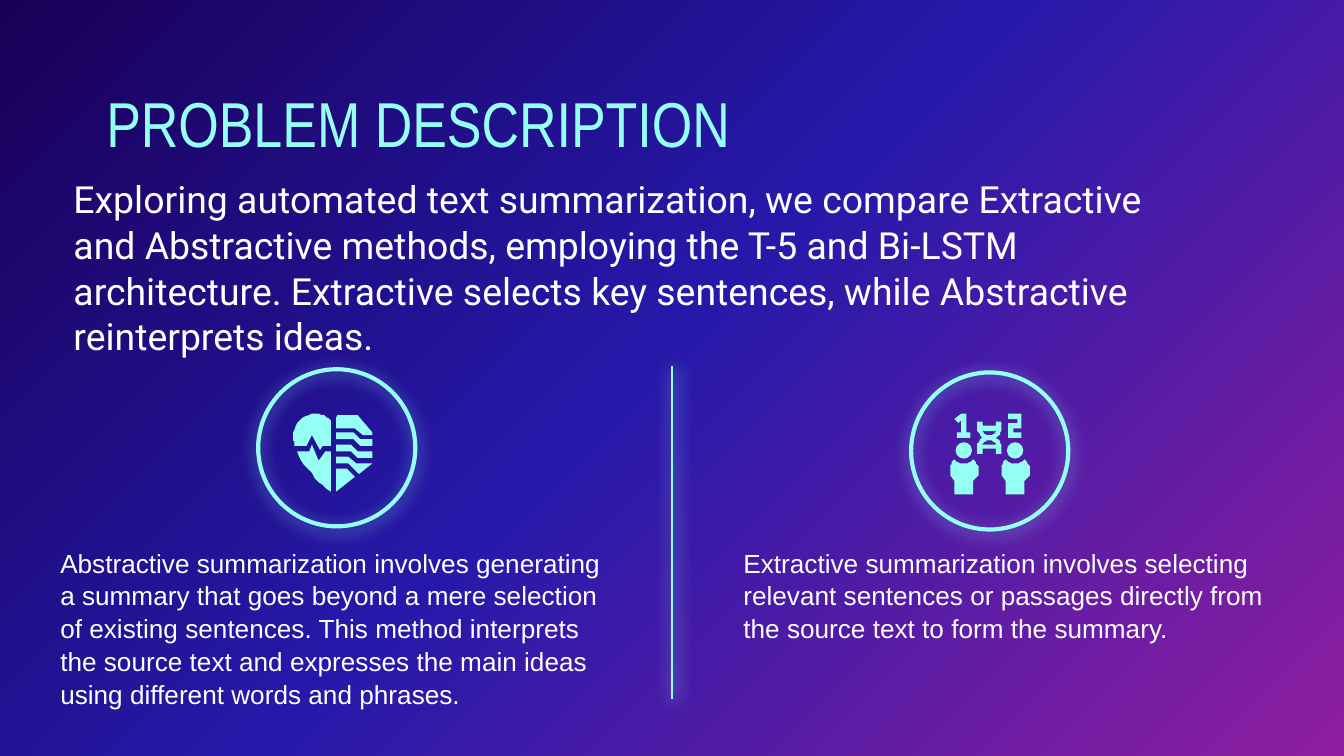
import copy
import lxml.etree
import pptx
import pptx.dml.color
import pptx.enum.shapes
import pptx.enum.text
import pptx.oxml.ns
import pptx.util

Cm = pptx.util.Cm
Pt = pptx.util.Pt
SHAPE = pptx.enum.shapes.MSO_SHAPE
ANCHOR = pptx.enum.text.MSO_ANCHOR
UNIT = 0.0254

HUES = {
    "night": "190057",
    "blue": "2619AA",
    "plum": "8F1EA0",
    "mint": "96FFF3",
    "halo": "98FAFC",
    "white": "FFFFFF",
}

TITLE = "PROBLEM DESCRIPTION"
INTRO = (
    "Exploring automated text summarization, we compare Extractive and "
    "Abstractive methods, employing the T-5 and Bi-LSTM architecture. "
    "Extractive selects key sentences, while Abstractive reinterprets ideas."
)
NOTES = [
    (1.14, "Abstractive summarization involves generating a summary that goes "
           "beyond a mere selection of existing sentences. This method interprets "
           "the source text and expresses the main ideas using different words "
           "and phrases."),
    (14.05, "Extractive summarization involves selecting relevant sentences or "
            "passages directly from the source text to form the summary."),
]
RINGS = [(4.88, 6.98), (17.22, 7.04)]

HEART = [
    [(32, 41), (32, 58), (46, 47), (40, 41)],
    [(32, 32), (32, 37), (41, 37), (49, 45), (59, 37), (47, 37), (41, 32)],
    [(33, 1), (32, 3), (32, 11), (46, 11), (52, 16), (59, 16), (59, 14), (48, 1)],
    [(17, 0), (8, 0, 0, 8, 0, 17), (0, 19, 1, 22, 1, 24), (10, 24), (14, 16),
     (20, 27), (22, 24), (28, 24), (28, 5), (25, 2, 21, 0, 17, 0)],
    [(14, 23), (12, 28), (3, 28), (7, 39, 19, 51, 28, 58), (28, 28), (24, 28),
     (19, 35)],
]
BANDS = [(14, 13, 18), (23, 11, 16)]
TWO = [(43, 0), (43, 4), (50, 4), (50, 7), (43, 7), (43, 18), (53, 18), (53, 14),
       (47, 14), (47, 11), (53, 11), (53, 0)]
ONE = [(8, 0), (3, 4), (6, 7), (8, 5), (8, 14), (5, 14), (5, 18), (15, 18),
       (15, 14), (12, 14), (12, 0)]
HELIX = [
    [(20, 6), (20, 11), (20, 13, 22, 16, 24, 18), (22, 19, 20, 22, 20, 25),
     (20, 30), (24, 30), (24, 26), (34, 26), (34, 30), (38, 30), (38, 25),
     (38, 22, 37, 20, 34, 18), (37, 16, 38, 14, 38, 11), (38, 6), (34, 6),
     (34, 9), (24, 9), (24, 6)],
    [(34, 13), (33, 15, 31, 16, 29, 16), (27, 16, 25, 15, 24, 13)],
    [(29, 20), (31, 20, 33, 21, 34, 23), (24, 23), (25, 21, 27, 20, 29, 20)],
]
BODY = [(3, 34), (1, 36, 0, 39, 0, 42), (0, 46), (3, 50), (3, 60), (17, 60),
        (17, 50), (21, 46), (21, 42), (21, 39, 19, 36, 17, 34),
        (15, 36, 13, 37, 10, 37), (8, 37, 5, 36, 3, 34)]


def trace(nodes, steps=10):
    out = [nodes[0]]
    for node in nodes[1:]:
        if len(node) == 2:
            out.append(node)
            continue
        ends = [out[-1], node[:2], node[2:4], node[4:]]
        for i in range(1, steps + 1):
            t = i / steps
            mix = ((1 - t) ** 3, 3 * t * (1 - t) ** 2, 3 * t * t * (1 - t), t ** 3)
            out.append(tuple(sum(m * e[k] for m, e in zip(mix, ends)) for k in (0, 1)))
    return out


class Deck:
    def __init__(self):
        self.show = pptx.Presentation()
        self.show.slide_width, self.show.slide_height = Cm(25.4), Cm(14.29)
        self.slide = self.show.slides.add_slide(self.show.slide_layouts[6])
        self.shapes = self.slide.shapes

    def hue(self, name):
        return pptx.dml.color.RGBColor.from_string(HUES[name])

    def back(self, stops):
        fill = self.slide.background.fill
        fill.gradient()
        fill.gradient_angle = 315
        row = self.slide.element.xpath(".//a:gsLst")[0]
        row.insert(1, copy.deepcopy(row[0]))
        for stop, (place, name) in zip(fill.gradient_stops, stops):
            stop.position = place
            stop.color.rgb = self.hue(name)

    def text(self, words, box, font, size, name="white", inset=0, lead=1.0,
             anchor=ANCHOR.TOP):
        frame = self.shapes.add_textbox(*map(Cm, box)).text_frame
        frame.word_wrap = True
        frame.vertical_anchor = anchor
        frame.margin_left = frame.margin_right = Cm(inset)
        frame.margin_top = frame.margin_bottom = Cm(inset)
        para = frame.paragraphs[0]
        para.line_spacing = lead
        run = para.add_run()
        run.text = words
        run.font.name, run.font.size = font, Pt(size)
        run.font.color.rgb = self.hue(name)

    def glow(self, shape, name, alpha, angle):
        qn = pptx.oxml.ns.qn
        sub = lxml.etree.SubElement
        group = sub(shape.element.spPr, qn("a:effectLst"))
        cast = sub(group, qn("a:outerShdw"), blurRad=str(Pt(9)), dist=str(Pt(1.5)),
                   dir=str(angle * 60000), algn="bl", rotWithShape="0")
        tint = sub(cast, qn("a:srgbClr"), val=HUES[name])
        sub(tint, qn("a:alpha"), val=str(alpha * 1000))

    def stroke(self, shape, width):
        shape.line.color.rgb = self.hue("mint")
        shape.line.width = Pt(width)

    def rule(self, x, top, end):
        kind = pptx.enum.shapes.MSO_CONNECTOR.STRAIGHT
        line = self.shapes.add_connector(kind, Cm(x), Cm(top), Cm(x), Cm(end))
        self.stroke(line, 1.5)
        self.glow(line, "mint", 76, 44)

    def ring(self, x, y, size):
        ring = self.shapes.add_shape(SHAPE.OVAL, Cm(x), Cm(y), Cm(size), Cm(size))
        ring.fill.background()
        self.stroke(ring, 2.25)
        self.glow(ring, "halo", 56, 90)

    def paint(self, shape):
        shape.shadow.inherit = False
        shape.fill.solid()
        shape.fill.fore_color.rgb = self.hue("mint")
        shape.line.fill.background()

    def form(self, loops, x, y):
        pen = None
        for loop in map(trace, loops):
            if pen is None:
                pen = self.shapes.build_freeform(*loop[0], scale=Cm(UNIT))
            else:
                pen.move_to(*loop[0])
            pen.add_line_segments(loop[1:], close=True)
        self.paint(pen.convert_to_shape(Cm(x), Cm(y)))

    def dot(self, x, y, size):
        self.paint(self.shapes.add_shape(SHAPE.OVAL, Cm(x), Cm(y), Cm(size), Cm(size)))


def main():
    deck = Deck()
    deck.back([(0, "night"), (0.48, "blue"), (1, "plum")])
    deck.text(TITLE, (2.01, 1.5, 21.41, 1.6), "Arial Narrow", 34, "mint",
              anchor=ANCHOR.MIDDLE)
    deck.text(INTRO, (1.14, 3.07, 21.41, 3.86), "Roboto", 20, inset=0.25, lead=1.02)

    left, right, top = 5.54, 17.96, 7.82
    for loop in HEART:
        deck.form([loop], left, top)
    for y, near, far in BANDS:
        band = [(32, y), (32, y + 5), (32 + near, y + 5), (32 + far, y + 10),
                (59, y + 10), (59, y + 5), (32 + far, y + 5), (32 + near, y)]
        deck.form([band], left, top)

    for loops in ([TWO], [ONE], HELIX):
        deck.form(loops, right, top)
    for shift in (0, 0.97):
        deck.form([BODY], right + shift, top)
        deck.dot(right + shift + 0.1, top + 0.54, 0.31)

    deck.rule(12.7, 6.91, 13.21)
    for x, y in RINGS:
        deck.ring(x, y, 2.97)
    for x, words in NOTES:
        deck.text(words, (x, 10.31, 10.54, 3.2), "Arial", 14, lead=1.05)
    deck.show.save("out.pptx")


if __name__ == "__main__":
    main()
